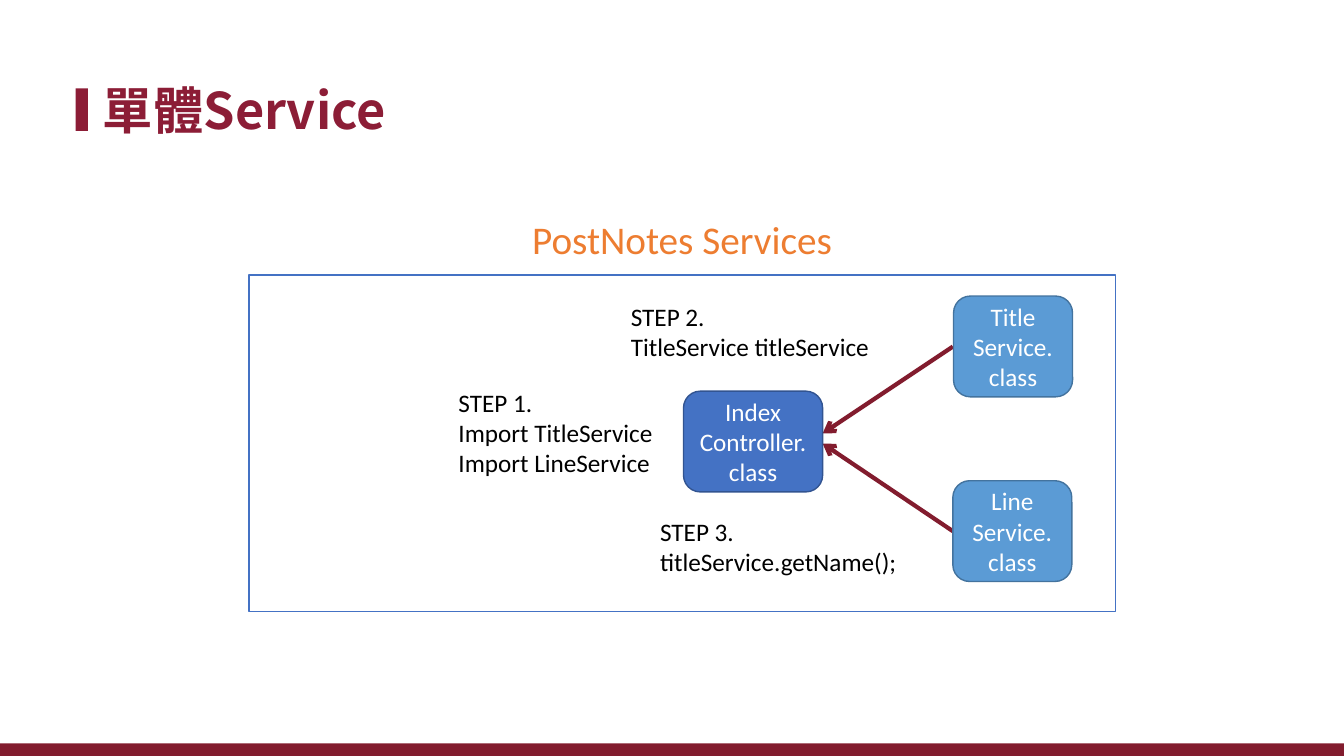
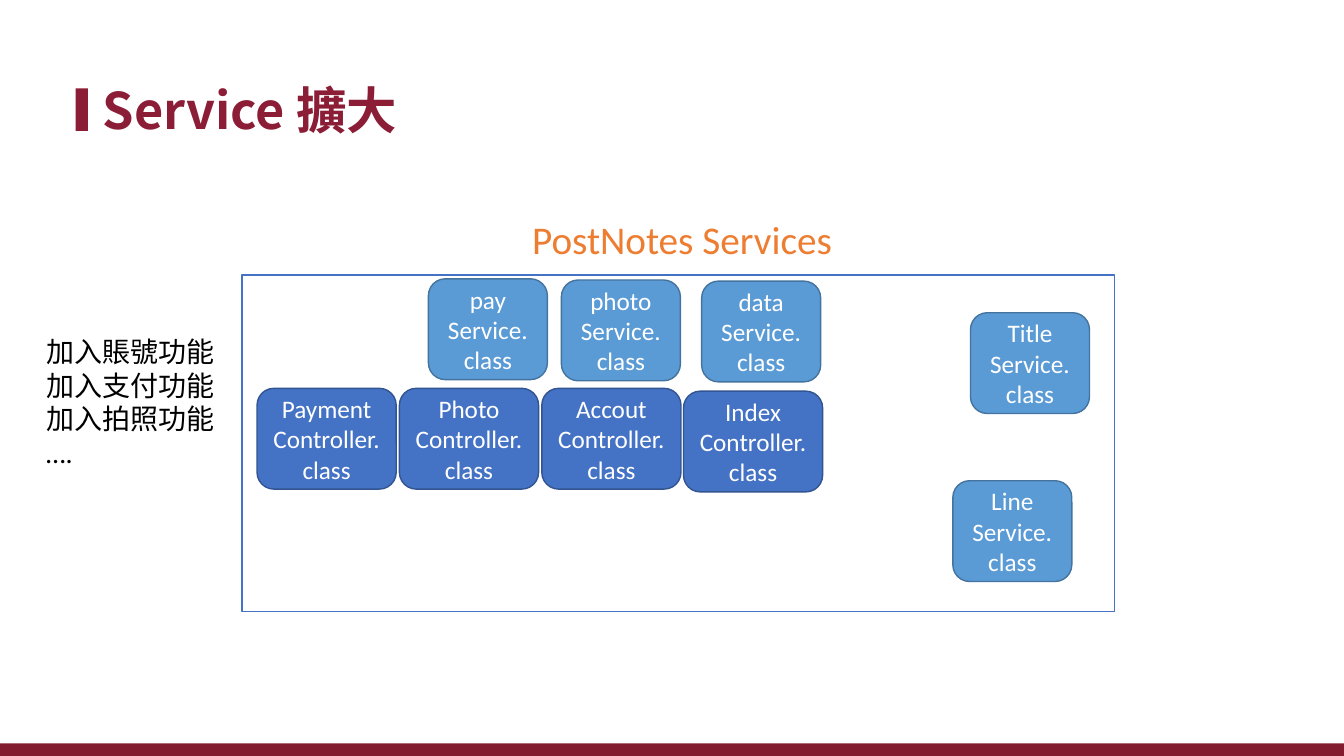
import pptx
import pptx.util
import pptx.dml.color
import pptx.enum.shapes
import pptx.enum.text
import pptx.oxml
import pptx.oxml.ns
from lxml import etree

Pt = pptx.util.Pt
RGBColor = pptx.dml.color.RGBColor
Shape = pptx.enum.shapes.MSO_SHAPE
Align = pptx.enum.text.PP_ALIGN
Anchor = pptx.enum.text.MSO_ANCHOR

CRIMSON = RGBColor(0x8C, 0x1D, 0x36)
MAROON = RGBColor(0x82, 0x1C, 0x2E)
ORANGE = RGBColor(0xED, 0x7D, 0x31)
BLUE = RGBColor(0x44, 0x72, 0xC4)
DARK_BLUE = RGBColor(0x32, 0x54, 0x91)
SKY = RGBColor(0x5B, 0x9B, 0xD5)
DARK_SKY = RGBColor(0x43, 0x73, 0x9E)
WHITE = RGBColor(0xFF, 0xFF, 0xFF)
BLACK = RGBColor(0, 0, 0)

LATIN = "Calibri"
CJK = "Noto Sans CJK SC"

SERVICE = {"width": 85, "fill": SKY, "line": DARK_SKY}
CONTROLLER = {"width": 99.4, "fill": BLUE, "line": DARK_BLUE}
CLASS_HEIGHT = 72

LINE_SERVICE = (SERVICE, 680.6, 343.4, ["Line Service.class"])
INDEX_CONTROLLER = (CONTROLLER, 488.2, 279.4, ["Index Controller.class"])

# Each note: left, top, width, height, size, lines
# Each class: style, left, top, lines
# Each arrow: start x, start y, end x, end y
SLIDES = [
    {
        "title": "單體Service",
        "frame": (177.8, 619.2),
        "notes": [
            (443.5, 211.7, 186.5, 51, 18, ["STEP 2.", "TitleService titleService"]),
            (320.4, 272.9, 154.8, 72.7, 18,
             ["STEP 1.", "Import TitleService", "Import LineService"]),
            (464.4, 365, 185.8, 51, 18, ["STEP 3.", "titleService.getName();"]),
        ],
        "arrows": [(680.6, 247.6, 587.6, 309.6), (680.6, 379.4, 587.6, 316.8)],
        "classes": [
            (SERVICE, 681.1, 211.5, ["Title Service.class"]),
            LINE_SERVICE,
            INDEX_CONTROLLER,
        ],
    },
    {
        "title": "Service 擴大",
        "frame": (172.8, 623.5),
        "notes": [
            (25.9, 235.4, 135.4, 104.4, 20,
             ["加入賬號功能", "加入支付功能", "加入拍照功能", "…."]),
        ],
        "arrows": [],
        "classes": [
            (SERVICE, 306, 199.2, ["pay Service.class"]),
            (SERVICE, 401, 200, ["photo Service.class"]),
            (SERVICE, 501.2, 200.8, ["data", "Service.class"]),
            (SERVICE, 693.2, 223.4, ["Title Service.class"]),
            LINE_SERVICE,
            *[(CONTROLLER, 183.6 + 101.7 * i, 277.4, [f"{name} Controller.class"])
              for i, name in enumerate(["Payment", "Photo", "Accout"])],
            INDEX_CONTROLLER,
        ],
    },
]


def write(shape, lines, size, color, font=LATIN, bold=False, align=Align.LEFT,
          anchor=Anchor.TOP, wrap=False, spacing=1.0):
    frame = shape.text_frame
    frame.word_wrap = wrap
    frame.vertical_anchor = anchor
    frame.text = "\n".join(lines)
    for paragraph in frame.paragraphs:
        paragraph.alignment = align
        paragraph.line_spacing = spacing
        for run in paragraph.runs:
            for key, value in {"name": font, "size": Pt(size), "bold": bold}.items():
                setattr(run.font, key, value)
            run.font.color.rgb = color
            east_asian = etree.SubElement(run.font._element, pptx.oxml.ns.qn("a:ea"))
            east_asian.set("typeface", CJK)


def add_box(slide, kind, left, top, width, height, fill, line=None):
    """Add a filled preset shape, outlined only if a line colour is given."""
    box = slide.shapes.add_shape(kind, Pt(left), Pt(top), Pt(width), Pt(height))
    box.shadow.inherit = False
    box.fill.solid()
    box.fill.fore_color.rgb = fill
    if line is None:
        box.line.fill.background()
    else:
        box.line.color.rgb = line
        box.line.width = Pt(1)
    return box


deck = pptx.Presentation()
deck.slide_width = Pt(960)
deck.slide_height = Pt(540)

for content in SLIDES:
    slide = deck.slides.add_slide(deck.slide_layouts[6])

    add_box(slide, Shape.RECTANGLE, 54, 63.2, 8.8, 30.4, CRIMSON)
    add_box(slide, Shape.RECTANGLE, 0, 531, 960, 9, MAROON)
    title = slide.shapes.add_textbox(Pt(66.4), Pt(28.8), Pt(828), Pt(104.4))
    write(title, [content["title"]], 36, CRIMSON, font=CJK, bold=True,
          anchor=Anchor.MIDDLE, wrap=True, spacing=0.9)

    frame_left, frame_width = content["frame"]
    add_box(slide, Shape.RECTANGLE, frame_left, 196.4, frame_width, 240.4, WHITE, BLUE)
    caption = slide.shapes.add_textbox(Pt(373), Pt(150.5), Pt(231), Pt(41))
    write(caption, ["PostNotes Services"], 28, ORANGE)

    for left, top, width, height, size, lines in content["notes"]:
        note = slide.shapes.add_textbox(Pt(left), Pt(top), Pt(width), Pt(height))
        write(note, lines, size, BLACK)

    for ends in content["arrows"]:
        arrow = slide.shapes.add_connector(
            pptx.enum.shapes.MSO_CONNECTOR.STRAIGHT, *map(Pt, ends))
        arrow.line.color.rgb = MAROON
        arrow.line.width = Pt(3)
        head = etree.SubElement(arrow.line._get_or_add_ln(), pptx.oxml.ns.qn("a:tailEnd"))
        head.set("type", "arrow")
        etree.SubElement(arrow._element.spPr, pptx.oxml.ns.qn("a:effectLst"))

    for style, left, top, lines in content["classes"]:
        class_box = add_box(slide, Shape.ROUNDED_RECTANGLE, left, top, style["width"],
                            CLASS_HEIGHT, style["fill"], style["line"])
        write(class_box, lines, 18, WHITE, align=Align.CENTER,
              anchor=Anchor.MIDDLE, wrap=True)

deck.save("out.pptx")
